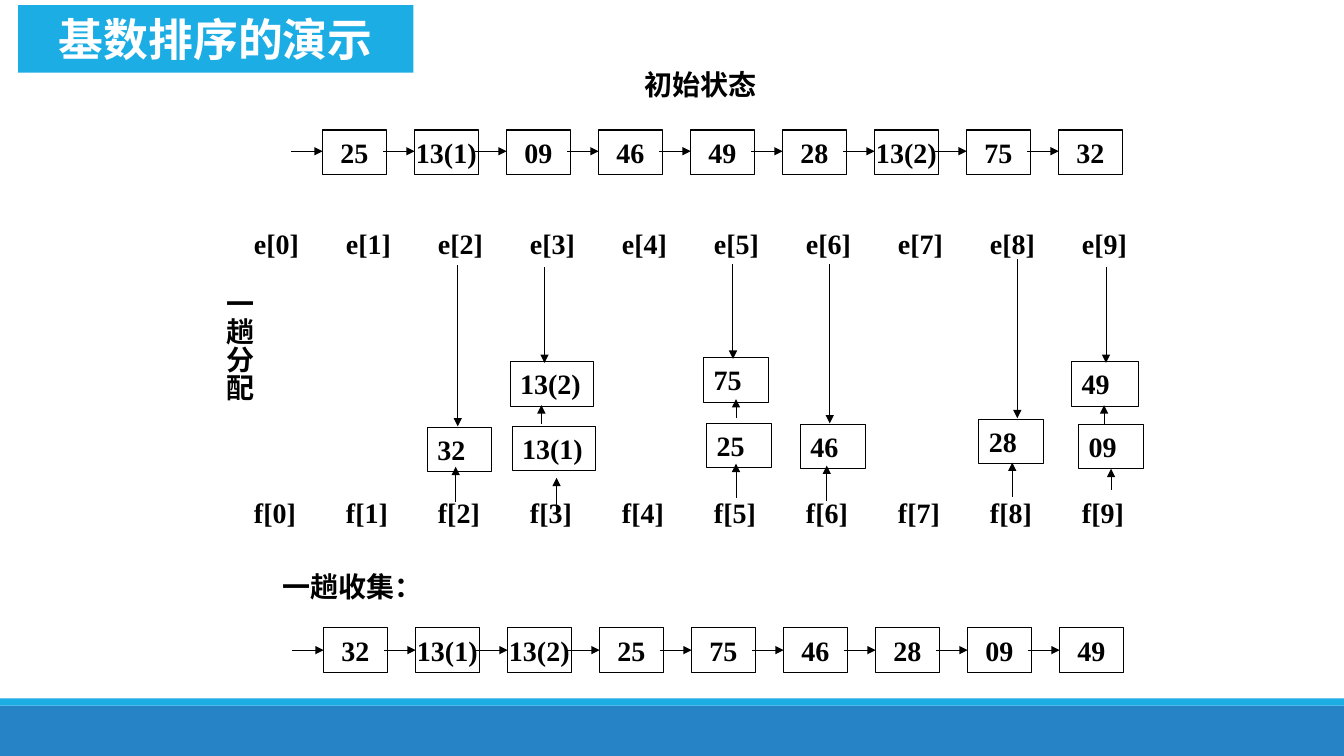
from dataclasses import dataclass

from lxml.etree import SubElement
from pptx import Presentation
from pptx.dml.color import RGBColor as RGB
from pptx.enum.shapes import MSO_CONNECTOR as Connector, MSO_SHAPE as Shape
from pptx.enum.text import MSO_ANCHOR as Anchor, PP_ALIGN as Align
from pptx.oxml.ns import qn
from pptx.util import Inches, Pt


@dataclass(frozen=True)
class Theme:
    ink: RGB = RGB(0, 0, 0)
    white: RGB = RGB(255, 255, 255)
    accent: RGB = RGB.from_string("1CADE4")
    footer: RGB = RGB.from_string("2683C6")
    latin: str = "Times New Roman"
    cjk: str = "Noto Sans CJK SC"
    body: int = 20
    title: int = 32
    line: float = 0.75


PITCH = 7.3 / 8
LABEL_LEFT = 2.42
INITIAL = ["25", "13(1)", "09", "46", "49", "28", "13(2)", "75", "32"]
COLLECTED = ["32", "13(1)", "13(2)", "25", "75", "46", "28", "09", "49"]

# value, left, top, width of each record waiting in a bucket
RECORDS = [
    ("32", 4.24, 4.24, 0.64),
    ("13(2)", 5.06, 3.59, 0.83),
    ("13(1)", 5.08, 4.23, 0.83),
    ("75", 6.98, 3.55, 0.64),
    ("25", 7.01, 4.2, 0.64),
    ("46", 7.94, 4.21, 0.64),
    ("28", 9.71, 4.16, 0.64),
    ("49", 10.63, 3.59, 0.66),
    ("09", 10.7, 4.21, 0.64),
]
# x, start y, end y of each bucket pointer
END_POINTERS = [
    (4.54, 2.63, 4.23), (5.4, 2.65, 3.6), (7.27, 2.62, 3.56),
    (8.23, 2.62, 4.2), (10.09, 2.57, 4.15), (10.97, 2.65, 3.6),
]
FRONT_POINTERS = [
    (4.52, 4.98, 4.63), (5.52, 5.09, 4.74), (7.3, 4.94, 4.6),
    (8.2, 4.97, 4.62), (10.04, 4.93, 4.59), (11.02, 4.86, 4.65),
]
RECORD_LINKS = [(5.37, 4.21, 4.02), (7.3, 4.15, 3.96), (10.95, 4.21, 4.02)]


def write(sp, text, *, size, color, font, cjk, align=Align.LEFT,
          anchor=Anchor.TOP, wrap=False):
    tf = sp.text_frame
    tf.word_wrap = wrap
    tf.vertical_anchor = anchor
    p = tf.paragraphs[0]
    p.alignment = align
    r = p.add_run()
    r.text = text
    r.font.size = Pt(size)
    r.font.bold = True
    r.font.name = font
    r.font.color.rgb = color
    SubElement(r.font._element, qn("a:ea"), typeface=cjk)


class Board:
    def __init__(self, slide, theme):
        self.s = slide
        self.theme = theme
        self.body = dict(size=theme.body, color=theme.ink, font=theme.latin,
                         cjk=theme.cjk)

    def rect(self, x, y, w, h, fill=None):
        """Filled without a line, or outlined when no fill is given."""
        sp = self.s.shapes.add_shape(
            Shape.RECTANGLE, Inches(x), Inches(y), Inches(w), Inches(h))
        sp.shadow.inherit = False
        if fill is None:
            sp.fill.background()
            sp.line.color.rgb = self.theme.ink
            sp.line.width = Pt(self.theme.line)
        else:
            sp.fill.solid()
            sp.fill.fore_color.rgb = fill
            sp.line.fill.background()
        return sp

    def title(self, text, x, y, w, h):
        write(self.rect(x, y, w, h, self.theme.accent), text,
              size=self.theme.title, color=self.theme.white,
              font=self.theme.cjk, cjk=self.theme.cjk,
              align=Align.CENTER, anchor=Anchor.MIDDLE)

    def label(self, text, x, y, w, h=0.44, vertical=False):
        sp = self.s.shapes.add_textbox(
            Inches(x), Inches(y), Inches(w), Inches(h))
        write(sp, text, **self.body)
        if vertical:
            sp.text_frame._txBody.bodyPr.set("vert", "eaVert")

    def arrow(self, x1, y1, x2, y2):
        line = self.s.shapes.add_connector(
            Connector.STRAIGHT, Inches(x1), Inches(y1), Inches(x2), Inches(y2))
        line.line.color.rgb = self.theme.ink
        line.line.width = Pt(self.theme.line)
        SubElement(line.line._get_or_add_ln(), qn("a:tailEnd"), type="triangle")
        SubElement(line._element.spPr, qn("a:effectLst"))

    def record(self, text, x, y, w):
        write(self.rect(x, y, w, 0.44), text, wrap=True, **self.body)

    def chain(self, values, left, top, arrow_y):
        """A linked list: each box is entered by an arrow from its left."""
        for i, value in enumerate(values):
            x = left + i * PITCH
            write(self.rect(x, top, 0.63, 0.44), value, align=Align.CENTER,
                  anchor=Anchor.MIDDLE, **self.body)
            self.arrow(x - 0.31, arrow_y, x, arrow_y)

    def bucket_labels(self, name, y, w):
        for i in range(10):
            self.label(f"{name}[{i}]", LABEL_LEFT + i * PITCH, y, w, 0.43)


def main():
    prs = Presentation()
    prs.slide_width, prs.slide_height = Inches(13.33), Inches(7.5)
    theme = Theme()
    board = Board(prs.slides.add_slide(prs.slide_layouts[6]), theme)

    board.rect(0, 7, 13.33, 0.5, theme.footer)
    board.rect(0, 6.93, 13.33, 0.07, theme.accent)
    board.title("基数排序的演示", 0.18, 0.05, 3.92, 0.67)

    board.label("初始状态", 6.29, 0.62, 1.33)
    board.chain(INITIAL, 3.2, 1.29, 1.5)

    board.bucket_labels("e", 2.2, 0.65)
    board.bucket_labels("f", 4.87, 0.62)
    board.label("一趟分配", 2.05, 2.78, 0.54, 1.21, vertical=True)
    for record in RECORDS:
        board.record(*record)
    for x, start, end in END_POINTERS + FRONT_POINTERS + RECORD_LINKS:
        board.arrow(x, start, x, end)

    board.label("一趟收集：", 2.7, 5.6, 1.61)
    board.chain(COLLECTED, 3.21, 6.23, 6.45)

    prs.save("out.pptx")


if __name__ == "__main__":
    main()
